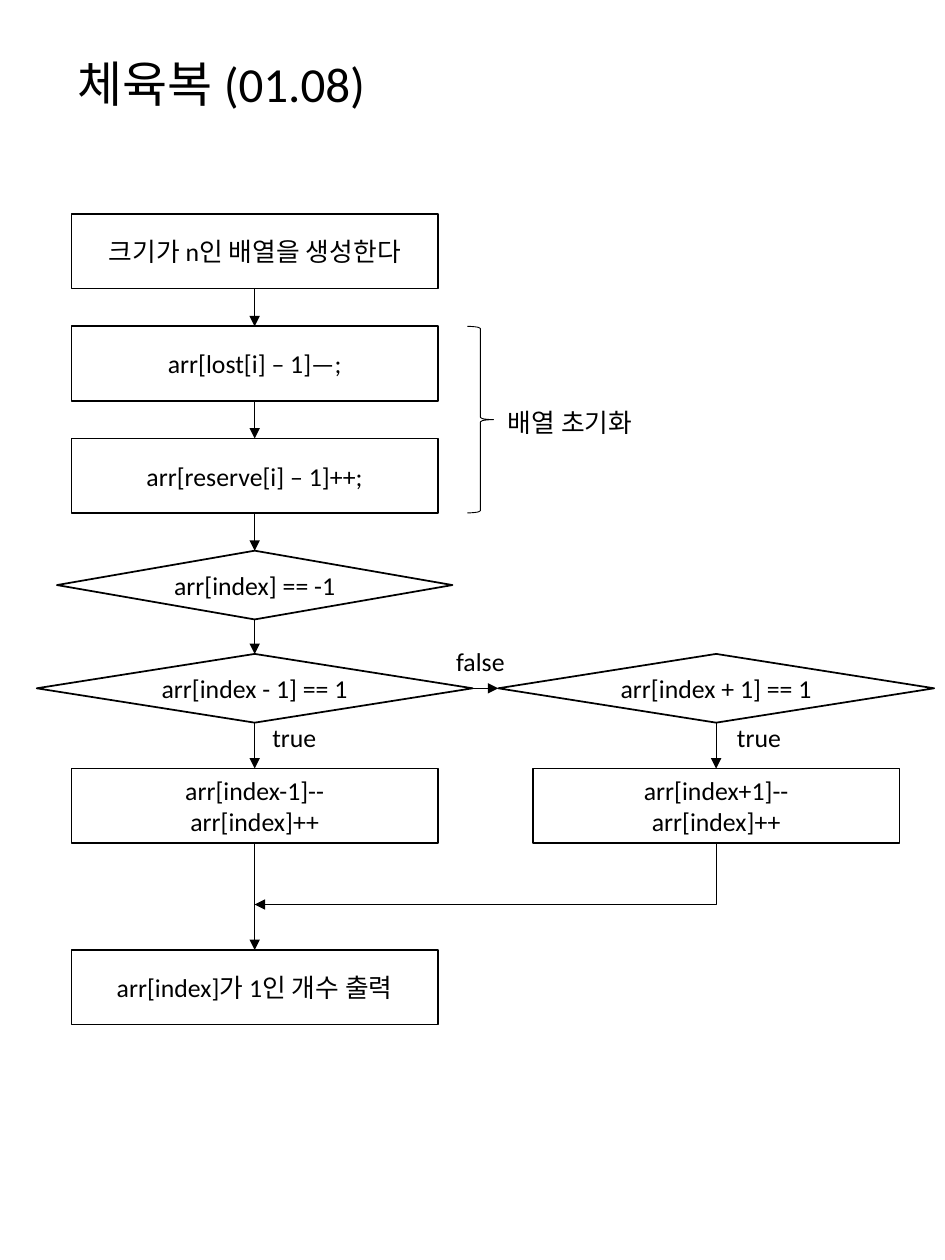
from lxml import etree
from pptx import Presentation
from pptx.dml.color import RGBColor as RGB
from pptx.enum.shapes import MSO_CONNECTOR as CON, MSO_SHAPE as SHAPE
from pptx.enum.text import MSO_ANCHOR as ANCHOR, MSO_AUTO_SIZE as AUTO, PP_ALIGN as ALIGN
from pptx.oxml.ns import qn
from pptx.util import Pt

COLORS = {"ink": "000000"}
FONT = "Calibri"
SIZE = 14.7
STEP_W, STEP_H = 209.5, 42.5
TEST_H = 39.3
INK = RGB.from_string(COLORS["ink"])


def write(tf, lines, size=SIZE, align=ALIGN.LEFT):
    for i, line in enumerate(lines):
        p = tf.paragraphs[0] if i == 0 else tf.add_paragraph()
        p.alignment = align
        r = p.add_run()
        r.text = line
        r.font.name, r.font.size = FONT, Pt(size)
        r.font.color.rgb = INK


def outline(slide, kind, x, y, w, h, weight):
    sp = slide.shapes.add_shape(kind, Pt(x), Pt(y), Pt(w), Pt(h))
    sp.shadow.inherit = False
    sp.fill.background()
    sp.line.color.rgb, sp.line.width = INK, Pt(weight)
    return sp


def node(slide, kind, cx, y, w, h, *lines):
    """Flowchart node centred on cx."""
    sp = outline(slide, kind, cx - w / 2, y, w, h, 1)
    tf = sp.text_frame
    tf.word_wrap, tf.vertical_anchor = True, ANCHOR.MIDDLE
    write(tf, lines, align=ALIGN.CENTER)


def step(slide, cx, y, *lines):
    node(slide, SHAPE.RECTANGLE, cx, y, STEP_W, STEP_H, *lines)


def test(slide, cx, y, w, text):
    node(slide, SHAPE.DIAMOND, cx, y, w, TEST_H, text)


def label(slide, x, y, w, text):
    sp = slide.shapes.add_textbox(Pt(x), Pt(y), Pt(w), Pt(25.2))
    tf = sp.text_frame
    tf.word_wrap, tf.auto_size = False, AUTO.SHAPE_TO_FIT_TEXT
    tf.margin_left = tf.margin_right = tf.margin_top = tf.margin_bottom = Pt(3.6)
    write(tf, [text])


def arrow(slide, x1, y1, x2, y2, kind=CON.STRAIGHT):
    c = slide.shapes.add_connector(kind, Pt(x1), Pt(y1), Pt(x2), Pt(y2))
    c.line.color.rgb, c.line.width = INK, Pt(0.5)
    etree.SubElement(c.line._get_or_add_ln(), qn("a:tailEnd"), type="triangle")
    etree.SubElement(c._element.spPr, qn("a:effectLst"))
    return c


def down_left_arrow(slide, x1, y1, x2, y2):
    """One-bend arrow: a right-then-down elbow turned by 90 degrees."""
    w, h = y2 - y1, x1 - x2
    left, top = (x1 + x2 - w) / 2, (y1 + y2 - h) / 2
    c = arrow(slide, left, top, left + w, top + h, CON.ELBOW)
    c._element.spPr.find(qn("a:prstGeom")).set("prst", "bentConnector2")
    c._element.spPr.find(qn("a:xfrm")).set("rot", str(90 * 60000))


def title(slide, x, y, w, h, text):
    sp = slide.shapes.add_textbox(Pt(x), Pt(y), Pt(w), Pt(h))
    tf = sp.text_frame
    tf.word_wrap, tf.vertical_anchor = True, ANCHOR.MIDDLE
    write(tf, [text], 28)
    tf.paragraphs[0].line_spacing = 0.9


def setup(slide, cx, y, pitch):
    """Array setup: three steps, each with an arrow to what follows, and a brace."""
    for i, text in enumerate(["크기가 n인 배열을 생성한다", "arr[lost[i] – 1]—;",
                              "arr[reserve[i] – 1]++;"]):
        top = y + i * pitch
        step(slide, cx, top, text)
        arrow(slide, cx, top + STEP_H, cx, top + pitch)
    outline(slide, SHAPE.RIGHT_BRACE, cx + 121.5, y + pitch, 15, pitch + STEP_H, 0.5)
    label(slide, cx + 141, y + pitch + STEP_H, 85, "배열 초기화")


def branch(slide, cx, y, w, sign, label_dx):
    """Neighbour test with its true step below."""
    test(slide, cx, y, w, f"arr[index {sign} 1] == 1")
    arrow(slide, cx, y + TEST_H, cx, y + 65.5)
    step(slide, cx, y + 65.5, f"arr[index{sign}1]--", "arr[index]++")
    label(slide, cx + label_dx, y + 35.3, 33.1, "true")


def flowchart(slide, x, y, w):
    """Whole chart; the two columns touch the left and right edges."""
    test_w, pitch = 249.1, 64.1
    left, right = x + test_w / 2, x + w - test_w / 2
    setup(slide, left, y, pitch)

    # Test for a missing item, then the two neighbour tests
    missing_y = y + 3 * pitch
    branch_y = missing_y + 59
    test(slide, left, missing_y, 226, "arr[index] == -1")
    arrow(slide, left, missing_y + TEST_H, left, branch_y)
    branch(slide, left, branch_y, test_w, "-", 6.5)
    branch(slide, right, branch_y, test_w, "+", 8.3)
    mid_y = branch_y + TEST_H / 2
    arrow(slide, left + test_w / 2, mid_y, right - test_w / 2, mid_y)
    label(slide, left + 111.5, branch_y - 8, 35.3, "false")

    # Merge and output
    done_y = branch_y + 65.5 + STEP_H
    output_y = done_y + 61.2
    step(slide, left, output_y, "arr[index]가 1인 개수 출력")
    arrow(slide, left, done_y, left, output_y)
    down_left_arrow(slide, right, done_y, left, done_y + 35.2)


prs = Presentation()
prs.slide_width, prs.slide_height = Pt(540), Pt(720)
slide = prs.slides.add_slide(prs.slide_layouts[6])
title(slide, 37.4, 27.4, 465.8, 43.9, "체육복 (01.08)")
flowchart(slide, 21, 122.4, 512.8)
prs.save("out.pptx")
